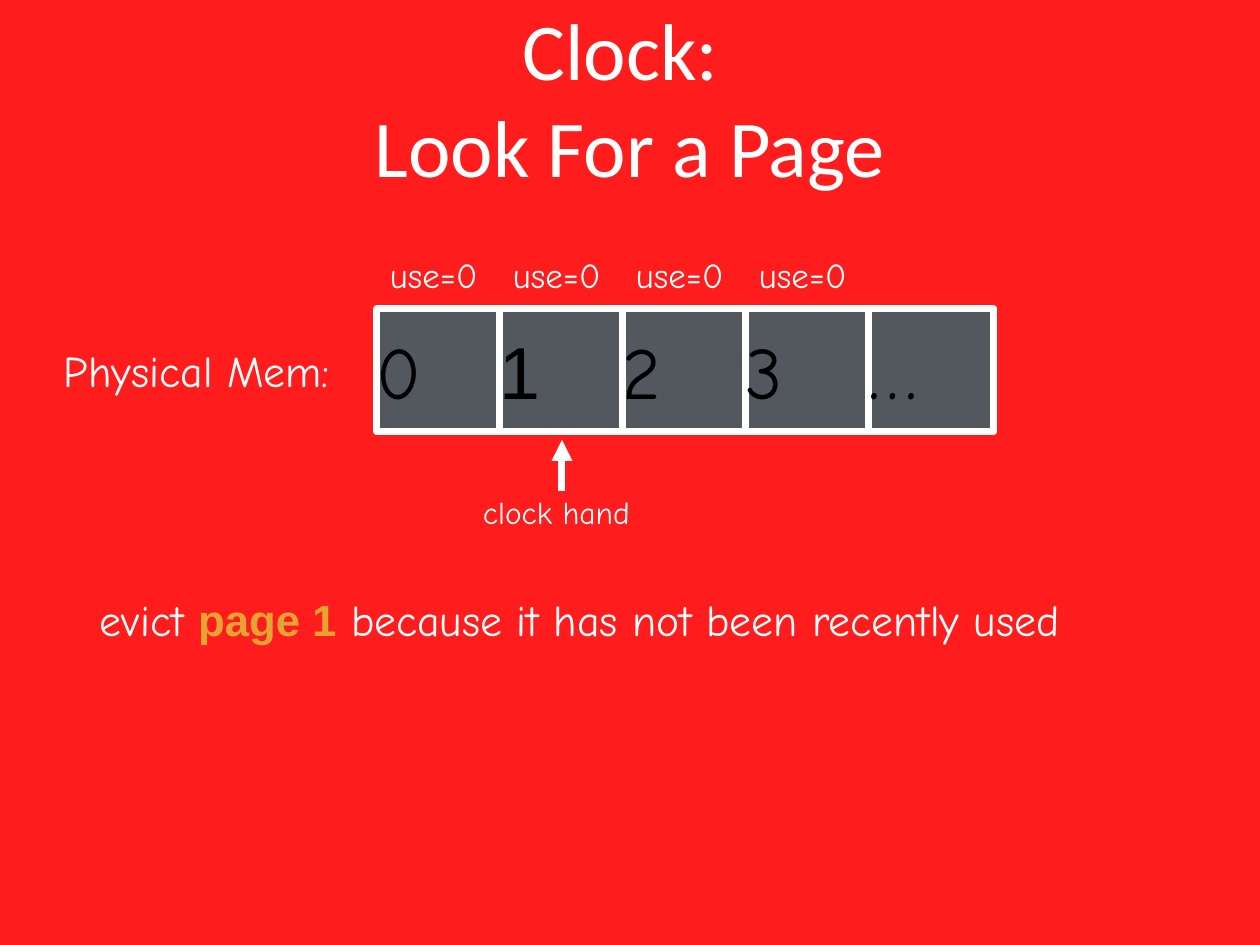
from dataclasses import dataclass

from lxml.etree import SubElement
from pptx import Presentation
from pptx.dml.color import RGBColor
from pptx.enum.shapes import MSO_CONNECTOR, MSO_SHAPE
from pptx.enum.text import MSO_ANCHOR, MSO_AUTO_SIZE, PP_ALIGN
from pptx.oxml.ns import qn
from pptx.util import Emu, Pt


@dataclass(frozen=True)
class Theme:
    """Colours, fonts and type sizes of the slide."""
    background: str = "FF1C1C"
    light: str = "FFFFFF"
    dark: str = "000000"
    frame: str = "53585F"
    accent: str = "E8A433"
    heading_font: str = "Calibri"
    body_font: str = "Comic Neue"
    plain_font: str = "Arial"
    title_size: int = 46
    frame_size: int = 42
    body_size: int = 25
    use_size: int = 20
    hand_size: int = 18
    line_width: int = 4


THEME = Theme()
EMU_PER_PX = 914400 / 126
FRAME_LEFT, FRAME_TOP, FRAME_PITCH = 377, 309, 123
FRAME_WIDTH, FRAME_HEIGHT = 125, 123
FRAMES = [("0", THEME.body_font), ("1", THEME.plain_font), ("2", THEME.body_font),
          ("3", THEME.body_font), ("…", THEME.body_font)]
USE_BITS = ["use=0"] * 4


def px(length):
    """Turn pixels into EMU."""
    return Emu(round(length * EMU_PER_PX))


def rgb(code):
    """Turn a hex code into a colour."""
    return RGBColor.from_string(code)


def set_all(target, formats):
    """Set every attribute in a dict of format values."""
    for attribute, value in formats.items():
        setattr(target, attribute, value)


def style_run(run, size, font=THEME.body_font, color=THEME.light, bold=False):
    """Give a run its typeface, size, weight and colour."""
    set_all(run.font, {"name": font, "size": Pt(size), "bold": bold})
    run.font.color.rgb = rgb(color)


def set_margins(frame, margin):
    """Set the same inset on all four sides and centre vertically."""
    sides = ("left", "top", "right", "bottom")
    set_all(frame, {f"margin_{side}": px(margin) for side in sides})
    frame.vertical_anchor = MSO_ANCHOR.MIDDLE


def add_title(slide, text, left, top, width, height):
    """Place and format the title placeholder."""
    title = slide.shapes.title
    set_all(title, {"left": px(left), "top": px(top),
                    "width": px(width), "height": px(height)})
    title.text_frame.text = text
    title.text_frame.vertical_anchor = MSO_ANCHOR.MIDDLE
    paragraph = title.text_frame.paragraphs[0]
    paragraph.alignment = PP_ALIGN.CENTER
    for run in paragraph.runs:
        style_run(run, THEME.title_size, THEME.heading_font)


def add_label(slide, pieces, size, left, top, width, height):
    """Add an unwrapped text box made of (text, run style) pieces."""
    label = slide.shapes.add_textbox(px(left), px(top), px(width), px(height))
    frame = label.text_frame
    set_margins(frame, 5)
    set_all(frame, {"word_wrap": False, "auto_size": MSO_AUTO_SIZE.SHAPE_TO_FIT_TEXT})
    for text, style in pieces:
        run = frame.paragraphs[0].add_run()
        run.text = text
        style_run(run, size, **style)


def add_page_frame(slide, text, font, left):
    """Add one page frame of physical memory."""
    page = slide.shapes.add_shape(MSO_SHAPE.RECTANGLE, px(left), px(FRAME_TOP),
                                  px(FRAME_WIDTH), px(FRAME_HEIGHT))
    page.shadow.inherit = False
    page.fill.solid()
    page.fill.fore_color.rgb = rgb(THEME.frame)
    page.line.color.rgb = rgb(THEME.light)
    page.line.width = Pt(THEME.line_width)
    set_margins(page.text_frame, 0)
    paragraph = page.text_frame.paragraphs[0]
    paragraph.alignment = PP_ALIGN.LEFT
    run = paragraph.add_run()
    run.text = text
    style_run(run, THEME.frame_size, font, THEME.dark)


def add_arrow(slide, start, end):
    """Add a straight arrow with its head at the end point."""
    arrow = slide.shapes.add_connector(MSO_CONNECTOR.STRAIGHT,
                                       *map(px, start), *map(px, end))
    arrow.line.color.rgb = rgb(THEME.light)
    arrow.line.width = Pt(THEME.line_width)
    SubElement(arrow.line._get_or_add_ln(), qn("a:tailEnd"), type="triangle")
    SubElement(arrow._element.spPr, qn("a:effectLst"))


def main():
    """Build the slide and save it."""
    deck = Presentation()
    set_all(deck, {"slide_width": px(1260), "slide_height": px(945)})
    slide = deck.slides.add_slide(deck.slide_layouts[5])
    slide.background.fill.solid()
    slide.background.fill.fore_color.rgb = rgb(THEME.background)

    add_title(slide, "Clock: \vLook For a Page", 107, 9, 1045, 176)
    for index, (text, font) in enumerate(FRAMES):
        add_page_frame(slide, text, font, FRAME_LEFT + index * FRAME_PITCH)
    add_label(slide, [("Physical Mem:", {})], THEME.body_size, 59, 339, 299, 63)
    for index, use_bit in enumerate(USE_BITS):
        add_label(slide, [(use_bit, {})], THEME.use_size,
                  FRAME_LEFT + 8 + index * FRAME_PITCH, 248, 101, 53)
    add_label(slide, [("clock hand", {})], THEME.hand_size, 478, 488, 163, 48)
    hand_x = FRAME_LEFT + FRAME_PITCH + FRAME_WIDTH // 2
    add_arrow(slide, (hand_x, 491), (hand_x, 440))
    evicted = {"font": THEME.plain_font, "color": THEME.accent, "bold": True}
    add_label(slide, [("evict ", {}), ("page 1", evicted),
                      (" because it has not been recently used", {})],
              THEME.body_size, 95, 588, 1046, 63)
    deck.save("out.pptx")


if __name__ == "__main__":
    main()
